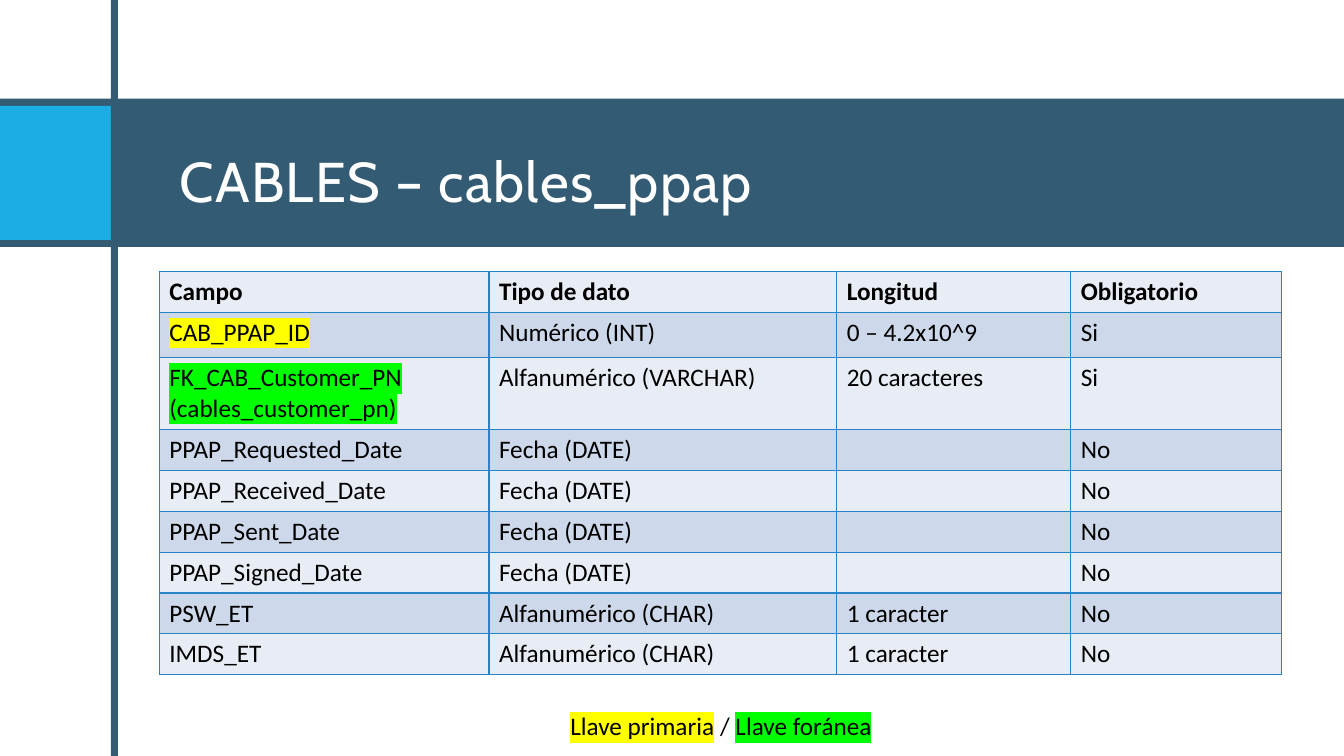
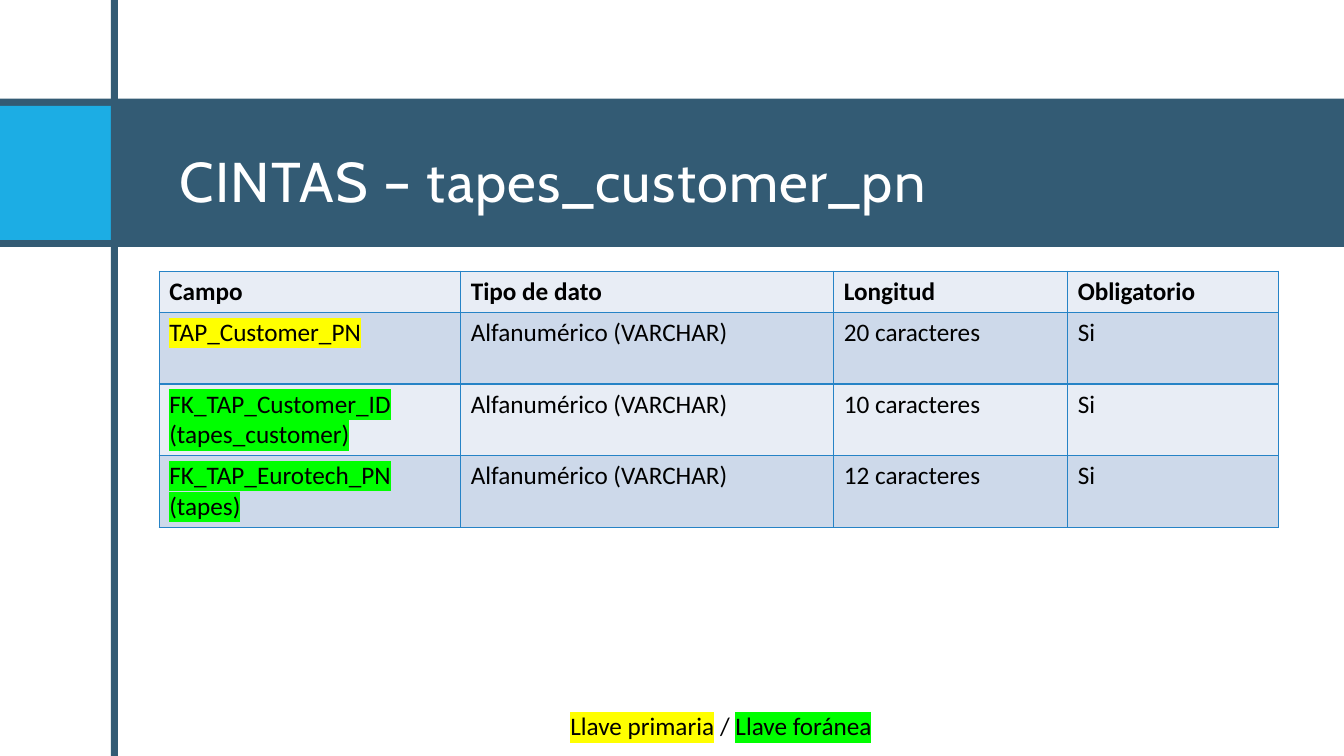
from pptx import Presentation
from pptx.dml.color import RGBColor
from pptx.enum.shapes import MSO_SHAPE
from pptx.enum.text import MSO_ANCHOR, MSO_AUTO_SIZE, PP_ALIGN
from pptx.oxml import parse_xml
from pptx.oxml.ns import nsdecls
from pptx.util import Inches, Pt

RECT = MSO_SHAPE.RECTANGLE
MIDDLE = MSO_ANCHOR.MIDDLE
NO_FIT, GROW = MSO_AUTO_SIZE.NONE, MSO_AUTO_SIZE.SHAPE_TO_FIT_TEXT
LEFT, CENTER = PP_ALIGN.LEFT, PP_ALIGN.CENTER

COLORS = {
    "band": "335B74", "accent": "1CADE4", "white": "FFFFFF", "text": "000000",
    "border": "2683C6", "row_light": "E8EDF5", "row_dark": "CDD9EA",
    "primary_key": "FFFF00", "foreign_key": "00FF00",
}

# Left, top, width, height and colour of the bands behind every title
BANDS = [
    (0, 0.98, 13.33, 1.47, "band"),
    (0, 1.05, 1.1, 1.33, "accent"),
    (1.1, 0, 0.07, 7.5, "band"),
]

HEADER = ("Campo", "Tipo de dato", "Longitud", "Obligatorio")
TABLES = [
    {
        "title": "CABLES – cables_ppap",
        "cols": [3.27, 3.45, 2.32, 2.09],
        "heights": [0.41, 0.45, 0.71] + [0.4] * 6,
        "rows": [
            ("CAB_PPAP_ID", "Numérico (INT)", "0 – 4.2x10^9", "Si"),
            ("FK_CAB_Customer_PN\n(cables_customer_pn)", "Alfanumérico (VARCHAR)",
             "20 caracteres", "Si"),
            ("PPAP_Requested_Date", "Fecha (DATE)", "", "No"),
            ("PPAP_Received_Date", "Fecha (DATE)", "", "No"),
            ("PPAP_Sent_Date", "Fecha (DATE)", "", "No"),
            ("PPAP_Signed_Date", "Fecha (DATE)", "", "No"),
            ("PSW_ET", "Alfanumérico (CHAR)", "1 caracter", "No"),
            ("IMDS_ET", "Alfanumérico (CHAR)", "1 caracter", "No"),
        ],
    },
    {
        "title": "CINTAS – tapes_customer_pn",
        "cols": [2.99, 3.7, 2.32, 2.09],
        "heights": [0.41] + [0.71] * 3,
        "rows": [
            ("TAP_Customer_PN", "Alfanumérico (VARCHAR)", "20 caracteres", "Si"),
            ("FK_TAP_Customer_ID\n(tapes_customer)", "Alfanumérico (VARCHAR)",
             "10 caracteres", "Si"),
            ("FK_TAP_Eurotech_PN\n(tapes)", "Alfanumérico (VARCHAR)",
             "12 caracteres", "Si"),
        ],
    },
]


def add_run(p, text, font="Calibri", size=18, color="text", bold=False,
            highlight=None, spacing=None):
    r = p.add_run()
    r.text = text
    r.font.size, r.font.bold = Pt(size), bold
    r.font.color.rgb = RGBColor.from_string(COLORS[color])
    rPr = r.font._element
    if highlight:
        rPr.append(parse_xml(f'<a:highlight {nsdecls("a")}>'
                             f'<a:srgbClr val="{COLORS[highlight]}"/></a:highlight>'))
    if spacing:
        rPr.set("spc", str(spacing * 100))
    r.font.name = font


def format_cell(cell, fill):
    """Give the cell a thin border on all sides and a plain fill."""
    tcPr = cell._tc.get_or_add_tcPr()
    for side in "LRTB":
        tcPr.append(parse_xml(
            f'<a:ln{side} {nsdecls("a")} w="{Pt(1)}"><a:solidFill>'
            f'<a:srgbClr val="{COLORS["border"]}"/></a:solidFill></a:ln{side}>'))
    cell.fill.solid()
    cell.fill.fore_color.rgb = RGBColor.from_string(COLORS[fill])


prs = Presentation()
prs.slide_width, prs.slide_height = Inches(13.33), Inches(7.5)
layout = prs.slide_layouts[5]

# The layout carries the title position and the bands
title = layout.placeholders[0]
title.left, title.top = Inches(1.68), Inches(1.05)
title.width, title.height = Inches(10.95), Inches(1.33)

slides = [prs.slides.add_slide(layout) for _ in TABLES]

# Shapes can only be added to a slide, so each band is then moved to the layout
for index, (*box, color) in enumerate(BANDS):
    sp = slides[0].shapes.add_shape(RECT, *map(Inches, box))
    sp.shadow.inherit = False
    sp.fill.solid()
    sp.fill.fore_color.rgb = RGBColor.from_string(COLORS[color])
    sp.line.fill.background()
    layout.shapes.element.insert(2 + index, sp.element)

for s, data in zip(slides, TABLES):
    tf = s.shapes.title.text_frame
    tf.auto_size, tf.word_wrap, tf.vertical_anchor = NO_FIT, True, MIDDLE
    tf.margin_left = tf.margin_right = Inches(0.1)
    tf.margin_top, tf.margin_bottom = Inches(0.2), Inches(0.05)
    p = tf.paragraphs[0]
    p.alignment = LEFT
    add_run(p, data["title"], font="Cabin", size=40, color="white", spacing=1)

    rows = [HEADER] + data["rows"]
    table = s.shapes.add_table(
        len(rows), len(HEADER), Inches(1.58), Inches(2.69),
        Inches(sum(data["cols"])), Inches(sum(data["heights"]))).table
    table.first_row = table.horz_banding = False
    for column, width in zip(table.columns, data["cols"]):
        column.width = Inches(width)
    for i, (row, height) in enumerate(zip(rows, data["heights"])):
        table.rows[i].height = Inches(height)
        for j, text in enumerate(row):
            cell = table.cell(i, j)
            format_cell(cell, "row_dark" if i % 2 else "row_light")
            highlight = None
            if j == 0 and i == 1:
                highlight = "primary_key"
            elif text.startswith("FK_"):
                highlight = "foreign_key"
            tf = cell.text_frame
            for n, line in enumerate(text.splitlines()):
                p = tf.add_paragraph() if n else tf.paragraphs[0]
                add_run(p, line, bold=i == 0, highlight=highlight)

    legend = s.shapes.add_textbox(Inches(3.66), Inches(7), Inches(6.98), Inches(0.4))
    tf = legend.text_frame
    tf.word_wrap, tf.auto_size = True, GROW
    p = tf.paragraphs[0]
    p.alignment = CENTER
    add_run(p, "Llave primaria", highlight="primary_key")
    add_run(p, " / ")
    add_run(p, "Llave foránea", highlight="foreign_key")

prs.save("out.pptx")
